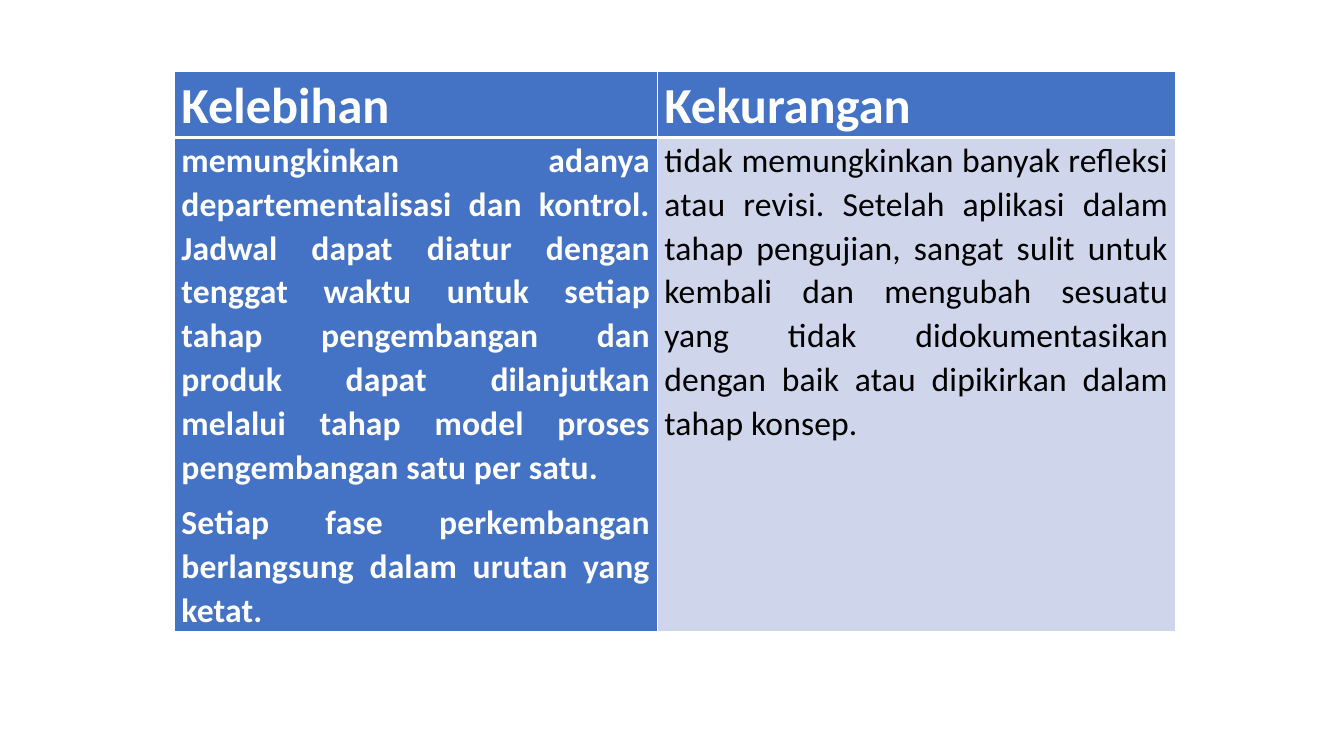
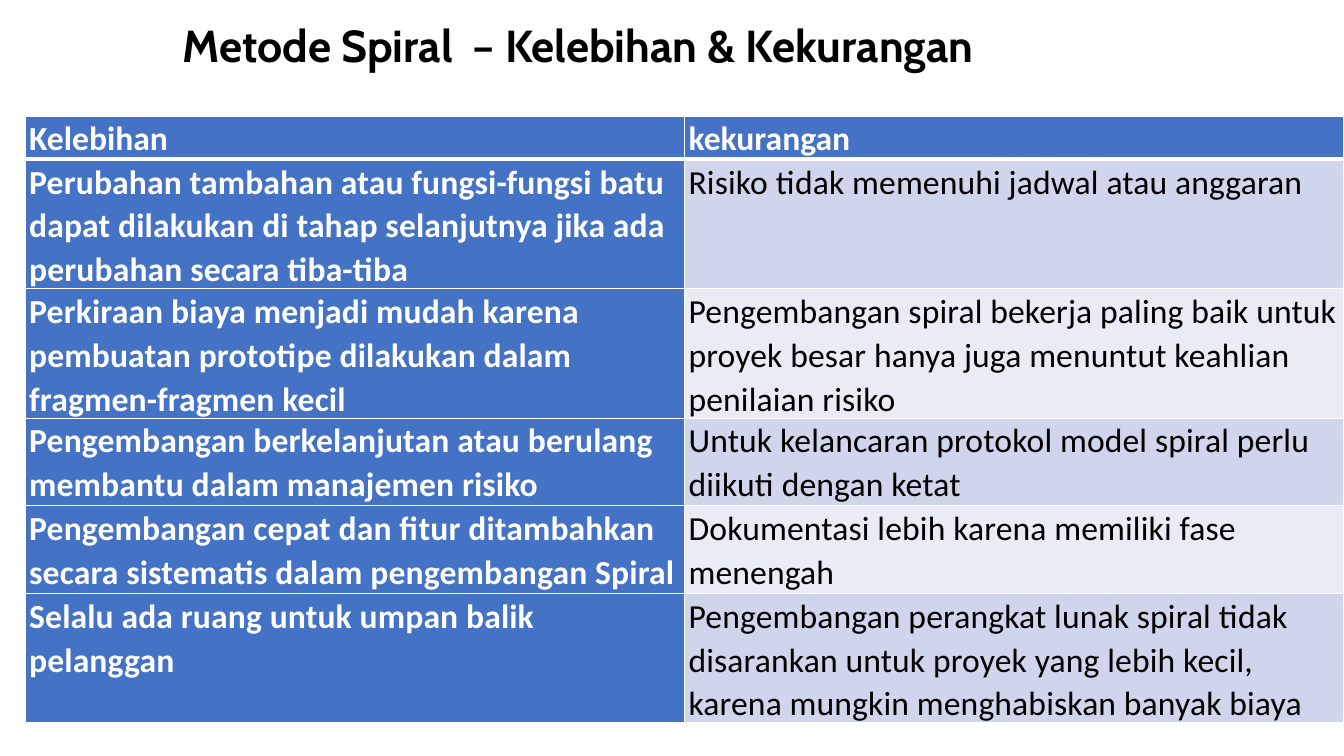
from dataclasses import dataclass

from lxml.etree import SubElement
from pptx import Presentation
from pptx.dml.color import RGBColor
from pptx.enum.text import MSO_AUTO_SIZE, PP_ALIGN
from pptx.oxml.ns import qn
from pptx.util import Inches, Pt


@dataclass(frozen=True)
class Theme:
    ink: str = "000000"
    paper: str = "FFFFFF"
    accent: str = "4472C4"
    bands: tuple = ("CFD5EA", "E9EBF5")
    title_font: str = "Cabin"
    body_font: str = "Calibri"
    title: int = 32
    head: int = 36
    body: int = 24
    thin: int = 1
    thick: int = 3


THEME = Theme()


def write(frame, text, *, size, color, font=THEME.body_font, bold=False,
          align=None, line=None, after=None, track=None):
    """Fill a text frame, one paragraph for each line of text."""
    for i, part in enumerate(text.split("\n")):
        para = frame.add_paragraph() if i else frame.paragraphs[0]
        para.alignment = align
        para.line_spacing = line
        para.space_after = None if after is None else Pt(after)
        run = para.add_run()
        run.text = part
        run.font.name = font
        run.font.size = Pt(size)
        run.font.bold = bold
        run.font.color.rgb = RGBColor.from_string(color)
        if track:
            run._r.get_or_add_rPr().set("spc", str(round(track * 100)))


def edge(cell, top, bottom):
    """Draw the four cell borders; they must come before the fill."""
    props = cell._tc.get_or_add_tcPr()
    sides = {"L": THEME.thin, "R": THEME.thin, "T": top, "B": bottom}
    for i, (side, width) in enumerate(sides.items()):
        line = SubElement(props, qn(f"a:ln{side}"), w=str(Pt(width)))
        fill = SubElement(line, qn("a:solidFill"))
        SubElement(fill, qn("a:srgbClr"), val=THEME.paper)
        props.insert(i, line)


class Deck:
    def __init__(self):
        self.show = Presentation()
        self.show.slide_width = Inches(13.33)
        self.show.slide_height = Inches(7.5)
        self.slide = None

    def page(self):
        self.slide = self.show.slides.add_slide(self.show.slide_layouts[6])
        back = self.slide.background.fill
        back.solid()
        back.fore_color.rgb = RGBColor.from_string(THEME.paper)

    def title(self, text, left, top, width, height):
        box = self.slide.shapes.add_textbox(
            Inches(left), Inches(top), Inches(width), Inches(height))
        frame = box.text_frame
        frame.word_wrap = True
        frame.auto_size = MSO_AUTO_SIZE.SHAPE_TO_FIT_TEXT
        write(frame, text, size=THEME.title, color=THEME.ink,
              font=THEME.title_font, bold=True)

    def table(self, data, left, top, cols, rows, pad, head, align=None):
        """Compare two columns: accent head and first column, banded second."""
        grid = self.slide.shapes.add_table(
            len(rows), len(cols), Inches(left), Inches(top),
            Inches(sum(cols)), Inches(sum(rows))).table
        for col, width in zip(grid.columns, cols):
            col.width = Inches(width)
        for r, (texts, height) in enumerate(zip(data, rows)):
            grid.rows[r].height = Inches(height)
            for c, text in enumerate(texts):
                self.cell(grid.cell(r, c), text, r, c, pad, head, align)

    def cell(self, cell, text, r, c, pad, head, align):
        top = r == 0
        strong = top or c == 0
        cell.margin_left = cell.margin_right = Inches(pad)
        cell.margin_top = cell.margin_bottom = 0
        cell.fill.solid()
        cell.fill.fore_color.rgb = RGBColor.from_string(
            THEME.accent if strong else THEME.bands[(r - 1) % 2])
        edge(cell, THEME.thick if r == 1 else THEME.thin,
             THEME.thick if top else THEME.thin)
        write(cell.text_frame, text, size=head if top else THEME.body,
              color=THEME.paper if strong else THEME.ink, bold=strong,
              align=None if top else align, line=1.07, after=8,
              track=None if top else 0.1)

    def save(self):
        self.show.save("out.pptx")


FIRST = [
    ("Kelebihan", "Kekurangan"),
    ("memungkinkan adanya departementalisasi dan kontrol. Jadwal dapat "
     "diatur dengan tenggat waktu untuk setiap tahap pengembangan dan produk "
     "dapat dilanjutkan melalui tahap model proses pengembangan satu per "
     "satu.\nSetiap fase perkembangan berlangsung dalam urutan yang ketat.",
     "tidak memungkinkan banyak refleksi atau revisi. Setelah aplikasi dalam "
     "tahap pengujian, sangat sulit untuk kembali dan mengubah sesuatu yang "
     "tidak didokumentasikan dengan baik atau dipikirkan dalam tahap konsep."),
]

SPIRAL = [
    ("Kelebihan", "kekurangan"),
    ("Perubahan tambahan atau fungsi-fungsi batu dapat dilakukan di tahap "
     "selanjutnya jika ada perubahan secara tiba-tiba",
     "Risiko tidak memenuhi jadwal atau anggaran"),
    ("Perkiraan biaya menjadi mudah karena pembuatan prototipe dilakukan "
     "dalam fragmen-fragmen kecil",
     "Pengembangan spiral bekerja paling baik untuk proyek besar hanya juga "
     "menuntut keahlian penilaian risiko"),
    ("Pengembangan berkelanjutan atau berulang membantu dalam manajemen "
     "risiko",
     "Untuk kelancaran protokol model spiral perlu diikuti dengan ketat"),
    ("Pengembangan cepat dan fitur ditambahkan secara sistematis dalam "
     "pengembangan Spiral",
     "Dokumentasi lebih karena memiliki fase menengah"),
    ("Selalu ada ruang untuk umpan balik pelanggan",
     "Pengembangan perangkat lunak spiral tidak disarankan untuk proyek yang "
     "lebih kecil, karena mungkin menghabiskan banyak biaya"),
]


def main():
    deck = Deck()

    deck.page()
    deck.table(FIRST, 1.73, 0.71, cols=(4.79, 5.14), rows=(0.64, 4.9),
               pad=0.07, head=THEME.head, align=PP_ALIGN.JUSTIFY)

    deck.page()
    deck.title("Metode Spiral  – Kelebihan & Kekurangan",
               1.71, 0.13, 9.54, 0.64)
    deck.table(SPIRAL, 0.25, 1.15, cols=(6.54, 6.54),
               rows=(0.43, 1.28, 1.28, 0.87, 0.87, 1.28),
               pad=0.04, head=THEME.body)

    deck.save()


if __name__ == "__main__":
    main()
